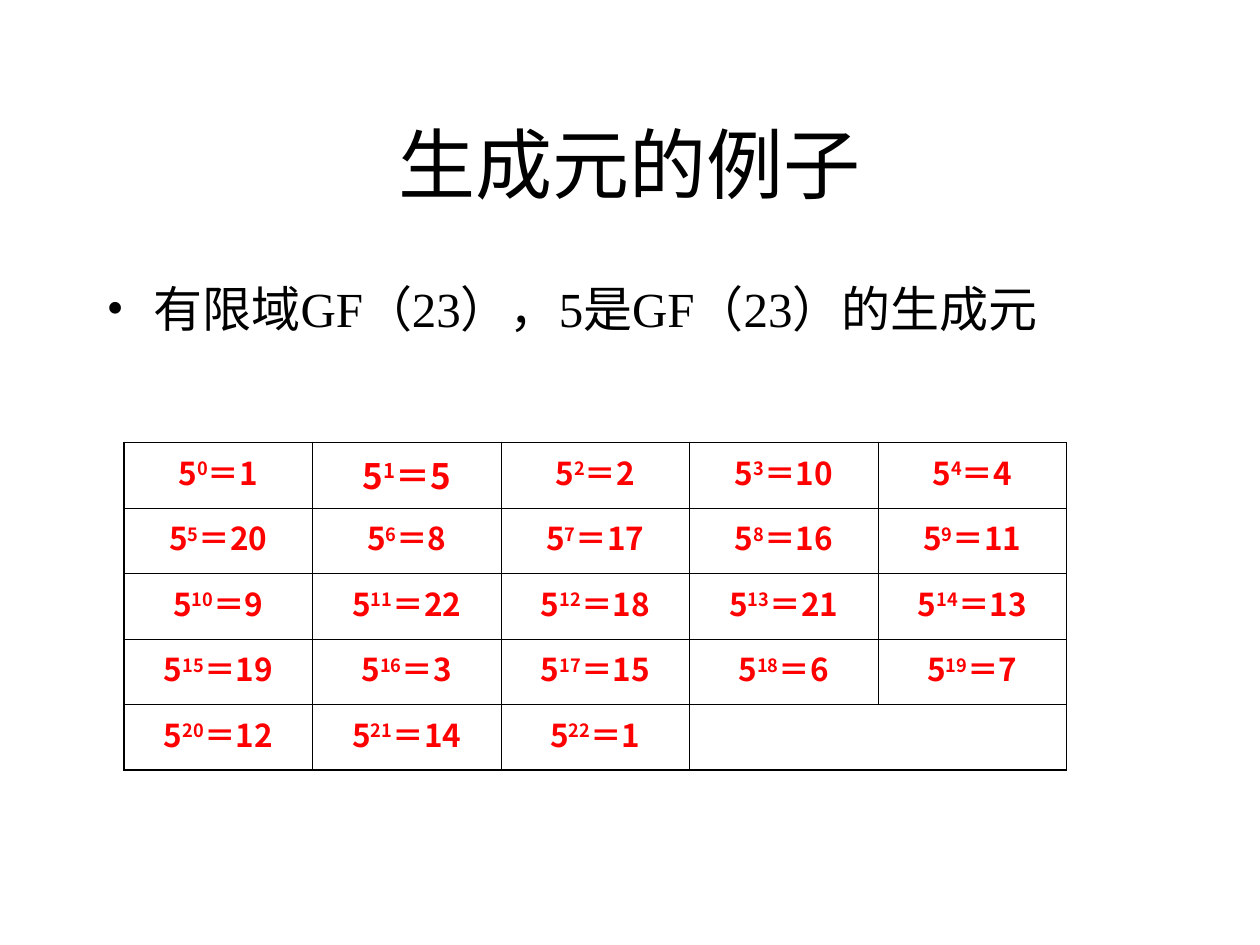
"""Slide on the powers of 5 as a generator of GF(23)."""
from lxml import etree
from pptx import Presentation
from pptx import util as u
from pptx.dml.color import RGBColor
from pptx.enum import text
from pptx.oxml import ns

BLACK = RGBColor(0, 0, 0)
RED = RGBColor(255, 0, 0)
SERIF = "Times New Roman"
SANS = "Noto Sans CJK SC"
BASE, PRIME, SIZE = 5, 23, 5


def add(node, tag, **attrs):
    return etree.SubElement(node, ns.qn(tag), attrs)


def style(run, face, size, color, bold=False):
    font = run.font
    font.name, font.size, font.bold = face, u.Pt(size), bold
    font.color.rgb = color


deck = Presentation()
deck.slide_width, deck.slide_height = u.Cm(25.4), u.Cm(19.05)
slide = deck.slides.add_slide(deck.slide_layouts[6])

title = slide.shapes.add_textbox(u.Cm(1.9), u.Cm(1.7), u.Cm(21.6), u.Cm(3.18))
frame = title.text_frame
frame.word_wrap = True
frame.vertical_anchor = text.MSO_ANCHOR.MIDDLE
frame.text = "生成元的例子"
frame.paragraphs[0].alignment = text.PP_ALIGN.CENTER
style(frame.paragraphs[0].runs[0], SERIF, 44, BLACK)

body = slide.shapes.add_textbox(u.Cm(1.9), u.Cm(5.5), u.Cm(21.6), u.Cm(11.43))
frame = body.text_frame
frame.word_wrap = True
frame.text = "有限域GF（23），5是GF（23）的生成元"
para = frame.paragraphs[0]
props = para._p.get_or_add_pPr()
props.set("marL", str(u.Cm(0.95)))
props.set("indent", str(u.Cm(-0.95)))
tint = add(props, "a:buClr")
add(tint, "a:srgbClr", val=str(BLACK))
add(props, "a:buFont", typeface=SERIF)
add(props, "a:buChar", char="•")
style(para.runs[0], SERIF, 28, BLACK)

grid = slide.shapes.add_table(
    SIZE, SIZE, u.Cm(2.5), u.Cm(8.92), u.Cm(19), u.Cm(6.6)).table
grid.first_row = grid.horz_banding = False
for col in grid.columns:
    col.width = u.Cm(3.8)
for row in grid.rows:
    row.height = u.Cm(1.32)
last = SIZE - 1
grid.cell(last, 3).merge(grid.cell(last, last))

for spot in range(SIZE * SIZE):
    row, col = divmod(spot, SIZE)
    cell = grid.cell(row, col)
    props = cell._tc.get_or_add_tcPr()
    edges = {"L": col == 0, "R": col == last or cell.is_merge_origin,
             "T": row == 0, "B": row == last}
    for side, outer in edges.items():
        width = u.Pt(0.96 if outer else 0.45)
        line = add(props, "a:ln" + side, w=str(width))
        fill = add(line, "a:solidFill")
        add(fill, "a:srgbClr", val=str(BLACK))
    cell.fill.background()
    if spot >= PRIME:
        continue
    para = cell.text_frame.paragraphs[0]
    para.alignment = text.PP_ALIGN.CENTER
    props = para._p.get_or_add_pPr()
    props.set("marL", str(u.Cm(0.95)))
    props.set("indent", str(u.Cm(-0.95)))
    parts = str(BASE), str(spot), f"＝{pow(BASE, spot, PRIME)}"
    for place, part in enumerate(parts):
        run = para.add_run()
        run.text = part
        style(run, SANS, 20 if spot == 1 else 18, RED, True)
        props = run._r.get_or_add_rPr()
        add(props, "a:ea", typeface=SANS)
        if place == 1:
            props.set("baseline", "30000")

deck.save("out.pptx")
